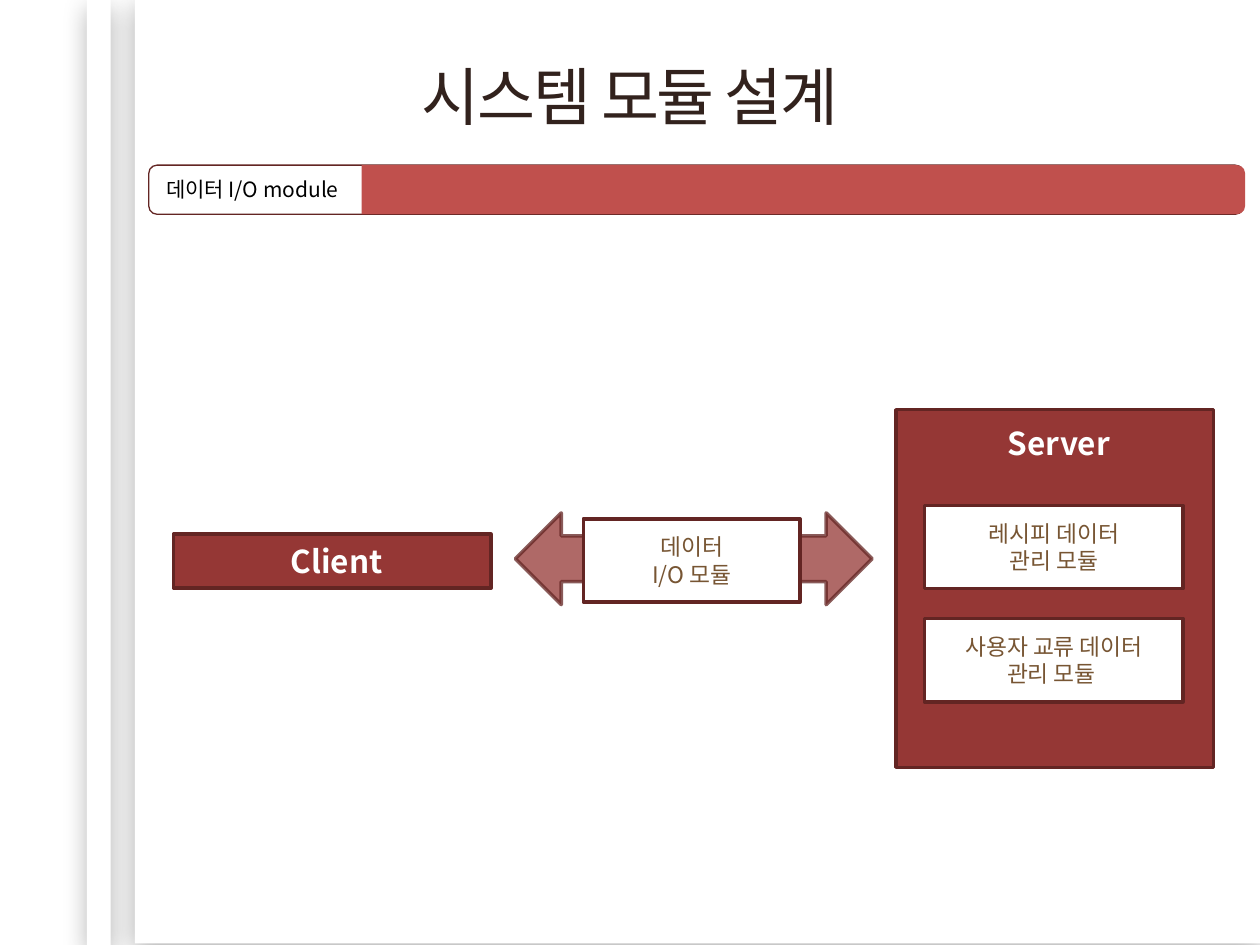
from dataclasses import dataclass

from lxml.etree import SubElement
from pptx import Presentation
from pptx.dml.color import RGBColor
from pptx.enum.shapes import MSO_SHAPE as Kind
from pptx.enum.text import MSO_ANCHOR as Anchor, PP_ALIGN as Align
from pptx.oxml.ns import qn
from pptx.util import Cm, Pt

FONT = "Noto Sans CJK KR"
COLOR = {
    "white": "FFFFFF", "black": "000000", "title": "32221D", "text": "775533",
    "red": "953735", "edge": "632523", "bar": "C0504D",
}


@dataclass
class Box:
    left: float
    top: float
    width: float
    height: float
    fill: str = "white"
    edge: str = ""
    weight: float = 2
    kind: Kind = Kind.RECTANGLE
    lines: tuple = ()
    turn: float = 0
    alpha: int = 100
    shade: bool = False

    def place(self) -> list:
        return [Cm(n) for n in (self.left, self.top, self.width, self.height)]


@dataclass
class Label:
    left: float
    top: float
    width: float
    height: float
    text: str
    size: float
    color: str
    bold: bool = False


def rgb(name: str) -> RGBColor:
    return RGBColor.from_string(COLOR[name])


def add_run(para, text: str, size: float, color: str, bold: bool = False):
    run = para.add_run()
    run.text = text
    font = run.font
    font.name, font.size, font.bold = FONT, Pt(size), bold
    font.color.rgb = rgb(color)
    SubElement(font._element, qn("a:ea"), typeface=FONT)
    return run


def add_alpha(node, percent: int) -> None:
    SubElement(node, qn("a:alpha"), val=str(percent * 1000))


def add_shade(shape) -> None:
    effects = shape._element.spPr.find(qn("a:effectLst"))
    outer = SubElement(effects, qn("a:outerShdw"), blurRad=str(Pt(15)),
                       dist=str(Pt(5)), dir="5400000", rotWithShape="0")
    add_alpha(SubElement(outer, qn("a:srgbClr"), val=COLOR["black"]), 30)


def draw_box(slide, box: Box) -> None:
    shape = slide.shapes.add_shape(box.kind, *box.place())
    shape.rotation = box.turn
    shape.fill.solid()
    shape.fill.fore_color.rgb = rgb(box.fill)
    if box.edge:
        shape.line.color.rgb = rgb(box.edge)
        shape.line.width = Pt(box.weight)
    else:
        shape.line.fill.background()
    shape.shadow.inherit = False
    if box.shade:
        add_shade(shape)
    if box.alpha < 100:
        for node in list(shape._element.spPr.iter(qn("a:srgbClr"))):
            add_alpha(node, box.alpha)
    frame = shape.text_frame
    frame.vertical_anchor = Anchor.MIDDLE
    for i, line in enumerate(box.lines):
        para = frame.add_paragraph() if i else frame.paragraphs[0]
        para.alignment = Align.CENTER
        add_run(para, line, 13, "text")


def draw_label(slide, label: Label) -> None:
    area = [Cm(n) for n in (label.left, label.top, label.width, label.height)]
    frame = slide.shapes.add_textbox(*area).text_frame
    frame.word_wrap = True
    add_run(frame.paragraphs[0], label.text, label.size, label.color, label.bold)


def draw_title(slide, text: str) -> None:
    title = slide.shapes.title
    title.left, title.top, title.width, title.height = (
        Cm(1.27), Cm(0.91), Cm(22.86), Cm(2.01))
    title.text_frame.vertical_anchor = Anchor.MIDDLE
    para = title.text_frame.paragraphs[0]
    para.alignment = Align.CENTER
    run = add_run(para, text, 36, "title")
    run.font._element.set("spc", "-120")
    # Bring the title above the page panels
    slide.shapes._spTree.append(title._element)


def panel(left: float, top: float, width: float, height: float) -> Box:
    return Box(left, top, width, height, "red", "edge")


def module(left: float, top: float, width: float, *lines: str) -> Box:
    return Box(left, top, width, 1.68, edge="edge", lines=lines)


PAGE = [
    Box(2.72, -0.03, 22.68, 19.05, shade=True),
    Box(1.75, 0, 0.48, 19.05, shade=True),
]
PARTS = [
    # Server and its modules
    panel(18.06, 8.26, 6.4, 7.21),
    Label(20.07, 8.43, 3.6, 1.02, "Server", 18, "white", True),
    module(18.64, 10.19, 5.21, "레시피 데이터", "관리 모듈"),
    module(18.64, 12.47, 5.21, "사용자 교류 데이터", "관리 모듈 "),
    # Client
    panel(3.5, 10.77, 6.4, 1.09),
    Label(5.61, 10.8, 2.41, 1.02, "Client", 18, "white", True),
    # Data exchange
    Box(10.39, 10.34, 7.19, 1.85, "red", "edge",
        kind=Kind.LEFT_RIGHT_ARROW, alpha=75),
    module(11.76, 10.46, 4.37, "데이터", "I/O 모듈"),
    # Section bar
    Box(3, 3.33, 22.07, 0.99, edge="edge", weight=0, kind=Kind.ROUNDED_RECTANGLE),
    Box(15.7, -5.08, 0.99, 17.81, "bar", kind=Kind.ROUND_2_SAME_RECTANGLE, turn=90),
    Label(3.1, 3.43, 6.35, 0.76, "데이터 I/O module", 12, "black"),
]


def main() -> None:
    deck = Presentation()
    deck.slide_width, deck.slide_height = Cm(25.4), Cm(19.05)
    slide = deck.slides.add_slide(deck.slide_layouts[5])
    for box in PAGE:
        draw_box(slide, box)
    draw_title(slide, "시스템 모듈 설계")
    for part in PARTS:
        if isinstance(part, Label):
            draw_label(slide, part)
        else:
            draw_box(slide, part)
    deck.save("out.pptx")


if __name__ == "__main__":
    main()
